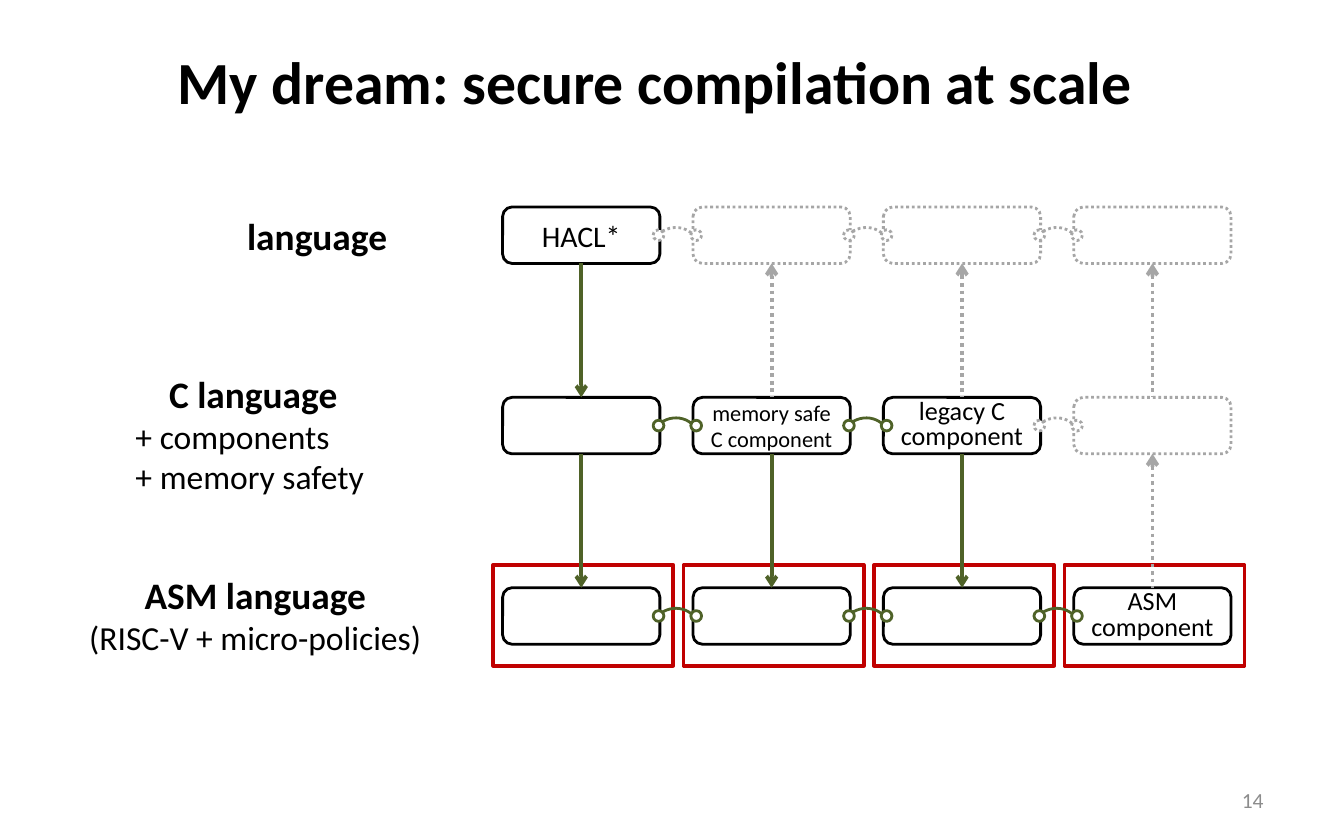
from lxml import etree
from pptx import Presentation
from pptx import util as u
from pptx.dml.color import RGBColor
from pptx.enum import dml, shapes, text
from pptx.oxml import ns

BLACK, GREY, GREEN, RED, WHITE = "000000", "A6A6A6", "4F6228", "C00000", "FFFFFF"
LEFT, MID, RIGHT = text.PP_ALIGN.LEFT, text.PP_ALIGN.CENTER, text.PP_ALIGN.RIGHT
TOP, CORE = text.MSO_ANCHOR.TOP, text.MSO_ANCHOR.MIDDLE
KIND = shapes.MSO_SHAPE


def paint(fill, hue):
    fill.solid()
    fill.fore_color.rgb = RGBColor.from_string(hue)


def write(box, *rows, size=18, bold=False, hue=BLACK, align=MID, anchor=CORE, space=None, inset=0):
    frame = box.text_frame
    frame.word_wrap = True
    frame.vertical_anchor = anchor
    for n, row in enumerate(rows):
        para = frame.paragraphs[0] if n == 0 else frame.add_paragraph()
        para.alignment = align
        para.line_spacing = space
        head = len(rows) > 1 and n == 0
        if head and inset:
            para._p.get_or_add_pPr().set("marL", str(u.Inches(inset)))
        run = para.add_run()
        run.text = row
        run.font.name = "Calibri"
        run.font.size = u.Pt(20 if head else size)
        run.font.bold = bold or head
        paint(run.font.fill, hue)


deck = Presentation()
deck.slide_width, deck.slide_height = u.Inches(10), u.Inches(6.25)
slide = deck.slides.add_slide(deck.slide_layouts[6])

labels = [
    ((0.25, 0.08, 9.25, 1.04), ["My dream: secure compilation at scale"], dict(size=32, bold=True)),
    ((7.17, 5.79, 2.33, 0.33), ["14"], dict(size=11.5, hue="8C8C8C", align=RIGHT)),
    ((1.74, 1.54, 1.5, 0.44), ["language"], dict(size=20, bold=True, align=LEFT, anchor=TOP)),
    ((0.91, 2.71, 2.2, 1.04), ["C language", "+ components", "+ memory safety"],
     dict(align=LEFT, anchor=TOP, inset=0.25)),
    ((0.5, 4.21, 2.8, 0.74), ["ASM language", "(RISC-V + micro-policies)"], dict(anchor=TOP)),
]
for spot, rows, fmt in labels:
    write(slide.shapes.add_textbox(*map(u.Inches, spot)), *rows, **fmt)

STEP, WIDE, HIGH = 17 / 12, 1.17, 0.42
cols = [3.74 + STEP * n for n in range(4)]
tiers = [1.54 + STEP * n for n in range(3)]
solid = {(0, 0), (1, 0), (1, 1), (1, 2), (2, 0), (2, 1), (2, 2), (2, 3)}
words = {
    (0, 0): ("HACL*", dict(size=16)),
    (1, 1): ("memory safe C component", dict(size=12)),
    (1, 2): ("legacy C component", dict(size=14, space=0.8)),
    (2, 3): ("ASM component", dict(size=14, space=0.8)),
}

frames = [(KIND.RECTANGLE, x - 0.07, tiers[2] - 0.17, 1.34, 0.75, RED, True, None) for x in cols]
boxes, links = [], []
for r, y in enumerate(tiers):
    for c, x in enumerate(cols):
        real = (r, c) in solid
        boxes.append((KIND.ROUNDED_RECTANGLE, x, y, WIDE, HIGH, BLACK if real else GREY, real, (r, c)))
        if c < 3:
            real = {(r, c), (r, c + 1)} <= solid
            hue = GREEN if real else GREY
            links.append((KIND.ARC, x + 1.08, y + 0.16, 0.39, 0.36, hue, real, None))
            for gap in (1.12, 1.4):
                links.append((KIND.OVAL, x + gap, y + 0.17, 0.08, 0.08, hue, real, None))

for kind, x, y, w, h, hue, real, cell in frames + boxes + links:
    part = slide.shapes.add_shape(kind, *map(u.Inches, (x, y, w, h)))
    part.shadow.inherit = False
    paint(part.line.fill, hue)
    part.line.width = u.Pt(2 if hue == RED else 1.5)
    if not real:
        part.line.dash_style = dml.MSO_LINE.ROUND_DOT
    if kind in (KIND.RECTANGLE, KIND.ARC):
        part.fill.background()
    else:
        paint(part.fill, WHITE)
    if kind == KIND.ARC:
        part.rotation = 317.9
    if cell in words:
        phrase, fmt = words[cell]
        write(part, phrase, **fmt)

for r, y in enumerate(tiers[:2]):
    for c, x in enumerate(cols):
        real = (r, c) in solid
        mid = x + WIDE / 2
        ends = map(u.Inches, (mid, y + HIGH, mid, y + STEP))
        arrow = slide.shapes.add_connector(shapes.MSO_CONNECTOR.STRAIGHT, *ends)
        paint(arrow.line.fill, GREEN if real else GREY)
        arrow.line.width = u.Pt(2)
        if not real:
            arrow.line.dash_style = dml.MSO_LINE.ROUND_DOT
        tip = "a:tailEnd" if real else "a:headEnd"
        etree.SubElement(arrow.line._get_or_add_ln(), ns.qn(tip)).set("type", "arrow")
        etree.SubElement(arrow._element.spPr, ns.qn("a:effectLst"))

deck.save("out.pptx")
